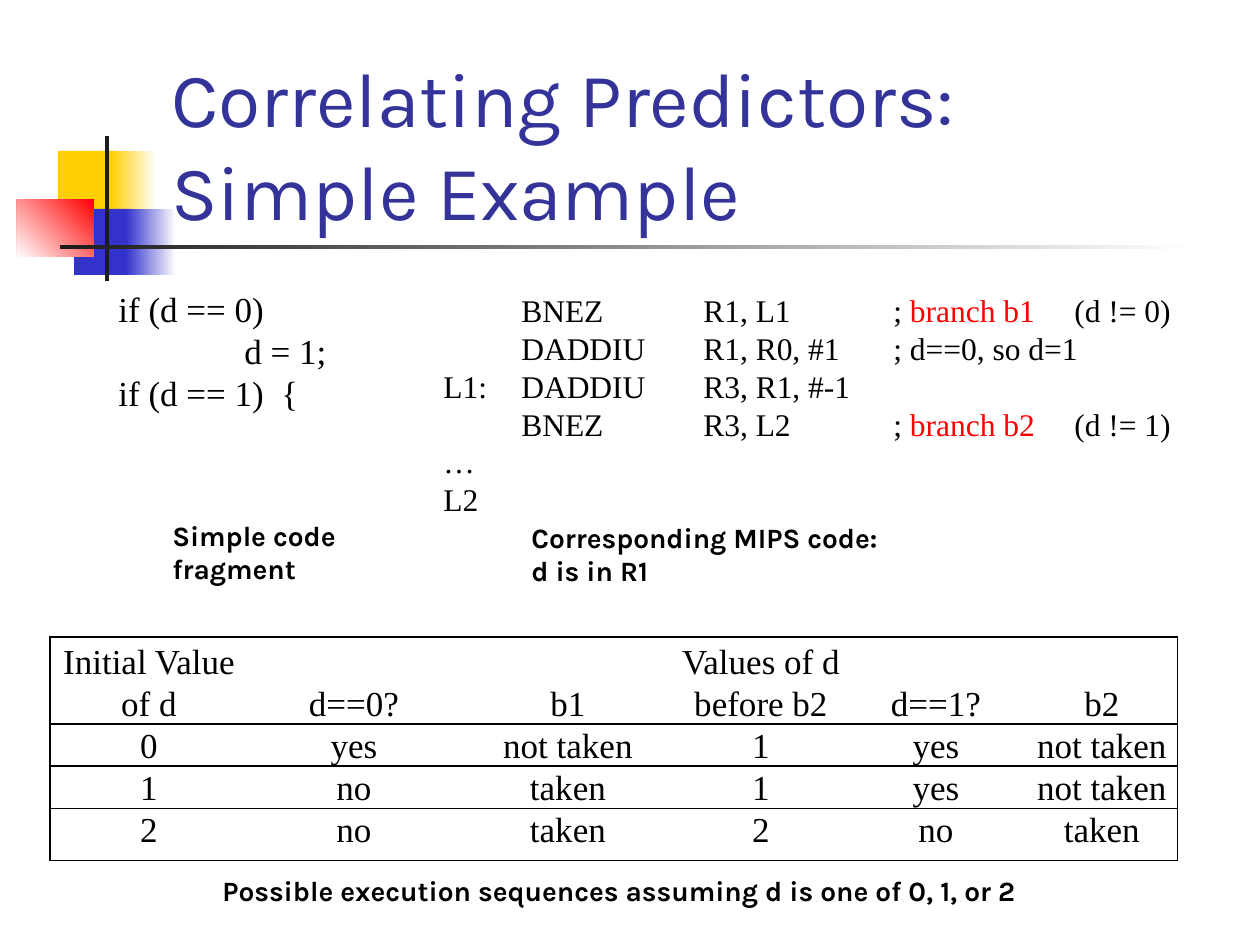
import pptx
import pptx.dml.color
import pptx.enum.shapes
import pptx.enum.text
import pptx.oxml.ns
import pptx.util
from lxml import etree

RGBColor = pptx.dml.color.RGBColor
BLACK = RGBColor(0x00, 0x00, 0x00)
WHITE = RGBColor(0xFF, 0xFF, 0xFF)
RED = RGBColor(0xFF, 0x00, 0x00)
YELLOW = RGBColor(0xFF, 0xCF, 0x01)
BLUE = RGBColor(0x33, 0x33, 0xCC)
CHARCOAL = RGBColor(0x1C, 0x1C, 0x1C)
TITLE_BLUE = RGBColor(0x33, 0x33, 0x99)

SANS = "Karla"
SERIF = "Times New Roman"
ANCHOR = pptx.enum.text.MSO_ANCHOR
CENTER = pptx.enum.text.PP_ALIGN.CENTER


def px(length):
    return pptx.util.Emu(round(length * 914400 / 126))


def add_element(parent, tag, **attributes):
    return etree.SubElement(parent, pptx.oxml.ns.qn(tag), attributes)


class SlideBuilder:
    line_ratio = 1.2
    rule_width = pptx.util.Pt(0.75)

    def __init__(self, slide):
        self.slide = slide

    def style(self, paragraph, font_name, size, color=BLACK, bold=False):
        paragraph.line_spacing = pptx.util.Pt(size * self.line_ratio)
        font = paragraph.font
        font.name = font_name
        font.size = pptx.util.Pt(size)
        font.bold = bold
        font.color.rgb = color

    def block(self, left, top, width, height, color, fade=None, angle=180):
        shape = self.slide.shapes.add_shape(
            pptx.enum.shapes.MSO_SHAPE.RECTANGLE, px(left), px(top), px(width), px(height))
        shape.shadow.inherit = False
        shape.line.fill.background()
        if fade is None:
            shape.fill.solid()
            shape.fill.fore_color.rgb = color
            return
        shape.fill.gradient()
        shape.fill.gradient_angle = angle
        for stop, stop_color in zip(shape.fill.gradient_stops, (color, fade)):
            stop.color.rgb = stop_color

    def set_tabs(self, paragraph, positions):
        properties = paragraph.font._element.getparent()
        tab_list = etree.Element(pptx.oxml.ns.qn("a:tabLst"))
        for position in positions:
            add_element(tab_list, "a:tab", pos=str(px(position)), algn="l")
        properties.insert(len(properties) - 1, tab_list)

    def text(self, left, top, width, height, lines, font_name, size, color=BLACK,
             bold=False, tabs=(), anchor=ANCHOR.TOP):
        shape = self.slide.shapes.add_textbox(px(left), px(top), px(width), px(height))
        frame = shape.text_frame
        frame.word_wrap = True
        frame.vertical_anchor = anchor
        for index, line in enumerate(lines):
            paragraph = frame.paragraphs[0] if index == 0 else frame.add_paragraph()
            self.style(paragraph, font_name, size, color, bold)
            if tabs:
                self.set_tabs(paragraph, tabs)
            for position, part in enumerate(line.split("|")):
                if position % 2:
                    run = paragraph.add_run()
                    run.text = part
                    run.font.color.rgb = RED
                elif "\v" in part:
                    paragraph.text = part
                else:
                    paragraph.add_run().text = part

    def border(self, cell, sides):
        properties = cell._tc.get_or_add_tcPr()
        for side in ("L", "R", "T", "B"):
            if side in sides:
                line = add_element(properties, f"a:ln{side}", w=str(self.rule_width))
                fill = add_element(line, "a:solidFill")
                add_element(fill, "a:srgbClr", val=str(BLACK))
            else:
                line = add_element(properties, f"a:ln{side}", w="0")
                add_element(line, "a:noFill")

    def table(self, left, top, widths, heights, rows, font_name, size):
        table = self.slide.shapes.add_table(
            len(rows), len(widths), px(left), px(top), px(sum(widths)), px(sum(heights))).table
        table.first_row = False
        table.horz_banding = False
        for column, width in zip(table.columns, widths):
            column.width = px(width)
        for row_index, values in enumerate(rows):
            table.rows[row_index].height = px(heights[row_index])
            for column_index, value in enumerate(values):
                cell = table.cell(row_index, column_index)
                cell.margin_left = cell.margin_right = 0
                cell.margin_top = cell.margin_bottom = 0
                is_last = row_index == len(rows) - 1
                cell.vertical_anchor = ANCHOR.TOP if is_last else ANCHOR.BOTTOM
                cell.text = value
                for paragraph in cell.text_frame.paragraphs:
                    self.style(paragraph, font_name, size)
                    paragraph.alignment = CENTER
                sides = "TB"
                if column_index == 0:
                    sides += "L"
                if column_index == len(widths) - 1:
                    sides += "R"
                self.border(cell, sides)
                cell.fill.background()


def main():
    presentation = pptx.Presentation()
    presentation.slide_width = px(1260)
    presentation.slide_height = px(945)
    builder = SlideBuilder(presentation.slides.add_slide(presentation.slide_layouts[6]))

    builder.block(58, 151, 60, 66, YELLOW)
    builder.block(111, 151, 45, 66, WHITE, YELLOW)
    builder.block(74, 209, 58, 66, BLUE)
    builder.block(126, 209, 50, 66, WHITE, BLUE)
    builder.block(17, 199, 77, 58, RED, WHITE, 225)
    builder.block(105, 136, 4, 145, CHARCOAL)
    builder.block(60, 245, 1134, 4, WHITE, CHARCOAL)

    builder.text(159, 84, 1074, 158, ["Correlating Predictors:\vSimple Example"],
                 SANS, 44, TITLE_BLUE, anchor=ANCHOR.BOTTOM)
    builder.text(106, 281, 233, 139, ["if (d == 0)", "\td = 1;", "if (d == 1)  {"],
                 SERIF, 20, tabs=[126])
    mips_code = [
        "\tBNEZ\tR1, L1\t; |branch b1|\t(d != 0)",
        "\tDADDIU\tR1, R0, #1\t; d==0, so d=1",
        "L1:\tDADDIU\tR3, R1, #-1",
        "\tBNEZ\tR3, L2\t; |branch b2|\t(d != 1)",
        "…",
        "L2",
    ]
    builder.text(431, 285, 770, 239, mips_code, SERIF, 18, tabs=[78, 260, 450, 631])
    builder.text(160, 512, 200, 81, ["Simple code", "fragment"], SANS, 16, bold=True)
    builder.text(519, 514, 400, 81, ["Corresponding MIPS code:", "d is in R1"],
                 SANS, 16, bold=True)

    sequences = [
        ["Initial Value\nof d", "d==0?", "b1", "Values of d\nbefore b2", "d==1?", "b2"],
        ["0", "yes", "not taken", "1", "yes", "not taken"],
        ["1", "no", "taken", "1", "yes", "not taken"],
        ["2", "no", "taken", "2", "no", "taken"],
    ]
    builder.table(50, 637, [198, 212, 216, 170, 180, 152], [87, 42, 42, 52],
                  sequences, SERIF, 20)
    builder.text(210, 867, 870, 47,
                 ["Possible execution sequences assuming d is one of 0, 1, or 2"],
                 SANS, 16, bold=True)

    presentation.save("out.pptx")


if __name__ == "__main__":
    main()
